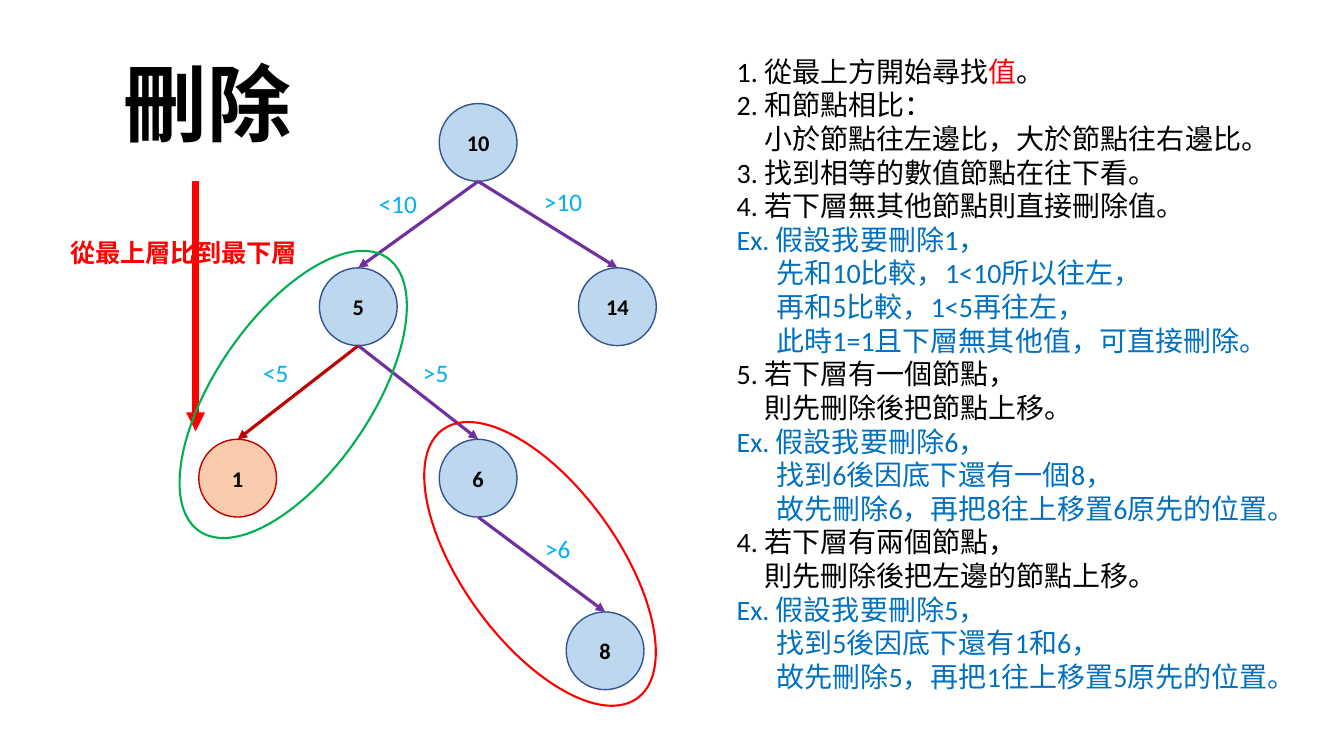
"""Build the slide on deleting a value from a binary search tree."""
from lxml import etree
from pptx import Presentation
from pptx import util as u
from pptx.dml import color
from pptx.enum import shapes, text
from pptx.oxml import ns

LATIN, EAST_ASIAN = "Calibri", "Noto Sans CJK SC"
BLACK, RED, BLUE, CYAN = "000000", "FF0000", "0070C0", "00B0F0"
PURPLE, DARK_RED, GREEN = "7030A0", "C00000", "00B050"
NODE_SIZE = 1.96
LEFT, CENTER = text.PP_ALIGN.LEFT, text.PP_ALIGN.CENTER

NODES = {
    "10": (12.05, 3.59), "5": (9.03, 7.73), "14": (15.56, 7.73),
    "6": (12.05, 12.05), "1": (5.99, 12.05), "8": (15.25, 16.4),
}
BRANCHES = [
    ("10", "5", "<10", (9.3, 4.6)), ("10", "14", ">10", (13.46, 4.55)),
    ("5", "1", "<5", (6.38, 8.86)), ("5", "6", ">5", (10.41, 8.86)),
    ("6", "8", ">6", (13.49, 13.31)),
]
DOOMED = "1"

STEP, STEP_MORE, EXAMPLE, EXAMPLE_MORE = (
    (BLACK, 0), (BLACK, 0.7), (BLUE, 0), (BLUE, 1))
RULES = [
    (STEP, ["1. 從最上方開始尋找", ("值", RED), "。"]),
    (STEP, ["2. 和節點相比："]),
    (STEP_MORE, ["小於節點往左邊比，大於節點往右邊比。"]),
    (STEP, ["3. 找到相等的數值節點在往下看。"]),
    (STEP, ["4. 若下層無其他節點則直接刪除值。"]),
    (EXAMPLE, ["Ex. 假設我要刪除1，"]),
    (EXAMPLE_MORE, ["先和10比較，1<10所以往左，"]),
    (EXAMPLE_MORE, ["再和5比較，1<5再往左，"]),
    (EXAMPLE_MORE, ["此時1=1且下層無其他值，可直接刪除。"]),
    (STEP, ["5. 若下層有一個節點，"]),
    (STEP_MORE, ["則先刪除後把節點上移。"]),
    (EXAMPLE, ["Ex. 假設我要刪除6，"]),
    (EXAMPLE_MORE, ["找到6後因底下還有一個8，"]),
    (EXAMPLE_MORE, ["故先刪除6，再把8往上移置6原先的位置。"]),
    (STEP, ["4. 若下層有兩個節點，"]),
    (STEP_MORE, ["則先刪除後把左邊的節點上移。"]),
    (EXAMPLE, ["Ex. 假設我要刪除5，"]),
    (EXAMPLE_MORE, ["找到5後因底下還有1和6，"]),
    (EXAMPLE_MORE, ["故先刪除5，再把1往上移置5原先的位置。"]),
]


def rgb(value):
    return color.RGBColor.from_string(value)


def apply(target, formats):
    for name, value in formats.items():
        setattr(target, name, value)


def box(left, top, width, height):
    return dict(left=u.Cm(left), top=u.Cm(top), width=u.Cm(width), height=u.Cm(height))


def write(paragraph, words, size, tint, bold=False, **layout):
    run = paragraph.add_run()
    run.text = words
    apply(run.font, dict(name=LATIN, size=u.Pt(size), bold=bold))
    run.font.color.rgb = rgb(tint)
    etree.SubElement(run.font._element, ns.qn("a:ea"), typeface=EAST_ASIAN)
    apply(paragraph, layout)


def add_title(slide, words):
    title = slide.shapes.title
    apply(title, box(0.89, 0.89, 8.69, 3.12))
    apply(title.text_frame, dict(vertical_anchor=text.MSO_ANCHOR.BOTTOM,
                                 auto_size=text.MSO_AUTO_SIZE.NONE))
    write(title.text_frame.paragraphs[0], words, 60, BLACK, True,
          alignment=CENTER, line_spacing=0.9)


def add_rules(slide, rules):
    body = slide.placeholders[1]
    apply(body, box(18.31, 1.24, 14.66, 16.51))
    frame = body.text_frame
    apply(frame, dict(vertical_anchor=text.MSO_ANCHOR.TOP, word_wrap=True,
                      auto_size=text.MSO_AUTO_SIZE.NONE))
    for number, ((tint, indent), pieces) in enumerate(rules):
        paragraph = frame.add_paragraph() if number else frame.paragraphs[0]
        for piece in pieces:
            words, shade = (piece, tint) if isinstance(piece, str) else piece
            write(paragraph, words, 20, shade)
        apply(paragraph, dict(alignment=LEFT, line_spacing=u.Pt(24),
                              space_before=u.Pt(0), space_after=u.Pt(0)))
        properties = paragraph._p.get_or_add_pPr()
        properties.set("marL", "0")
        properties.set("indent", str(u.Cm(indent)))
        etree.SubElement(properties, ns.qn("a:buNone"))


def add_label(slide, words, place, width, tint, bold=False):
    label = slide.shapes.add_textbox(**box(*place, width, 1.02))
    label.text_frame.word_wrap = True
    write(label.text_frame.paragraphs[0], words, 18, tint, bold, line_spacing=u.Pt(22))


def add_ellipse(slide, center, width, height, outline, weight, fill=None, rotation=0):
    x, y = center
    ellipse = slide.shapes.add_shape(
        shapes.MSO_SHAPE.OVAL, **box(x - width / 2, y - height / 2, width, height))
    ellipse.shadow.inherit = False
    ellipse.rotation = rotation
    if fill:
        ellipse.fill.solid()
        ellipse.fill.fore_color.rgb = rgb(fill)
    else:
        ellipse.fill.background()
    ellipse.line.color.rgb = rgb(outline)
    ellipse.line.width = u.Pt(weight)
    return ellipse


def add_node(slide, value):
    outline, fill = (DARK_RED, "F8CBAD") if value == DOOMED else ("325491", "BDD7EE")
    node = add_ellipse(slide, NODES[value], NODE_SIZE, NODE_SIZE, outline, 1, fill)
    apply(node.text_frame, dict(vertical_anchor=text.MSO_ANCHOR.MIDDLE,
                                margin_left=0, margin_right=0))
    write(node.text_frame.paragraphs[0], value, 16, BLACK, True, alignment=CENTER)


def add_arrow(slide, start, end, tint, weight):
    arrow = slide.shapes.add_connector(
        shapes.MSO_CONNECTOR.STRAIGHT, *(u.Cm(length) for length in (*start, *end)))
    arrow.line.color.rgb = rgb(tint)
    arrow.line.width = u.Pt(weight)
    etree.SubElement(arrow.line._get_or_add_ln(), ns.qn("a:tailEnd"), type="triangle")
    etree.SubElement(arrow._element.spPr, ns.qn("a:effectLst"))


def add_branch(slide, parent, child):
    (start_x, start_y), (end_x, end_y) = NODES[parent], NODES[child]
    add_arrow(slide, (start_x, start_y + NODE_SIZE / 2), (end_x, end_y - NODE_SIZE / 2),
              DARK_RED if child == DOOMED else PURPLE, 2.25)


def main():
    deck = Presentation()
    apply(deck, dict(slide_width=u.Cm(33.87), slide_height=u.Cm(19.05)))
    slide = deck.slides.add_slide(deck.slide_layouts[1])
    add_title(slide, "刪除")
    for value in NODES:
        add_node(slide, value)
    for parent, child, condition, place in BRANCHES:
        add_branch(slide, parent, child)
        add_label(slide, condition, place, 1.63, CYAN)
    add_arrow(slide, (4.93, 4.57), (4.93, 10.87), RED, 4.5)
    add_label(slide, "從最上層比到最下層", (1.52, 5.84), 6.35, RED, True)
    add_rules(slide, RULES)
    for center, outline, rotation in (((13.61, 14.21), RED, 324.1),
                                      ((7.39, 9.94), GREEN, 34.5)):
        add_ellipse(slide, center, 3.91, 8.36, outline, 1.5, rotation=rotation)
    deck.save("out.pptx")


main()
